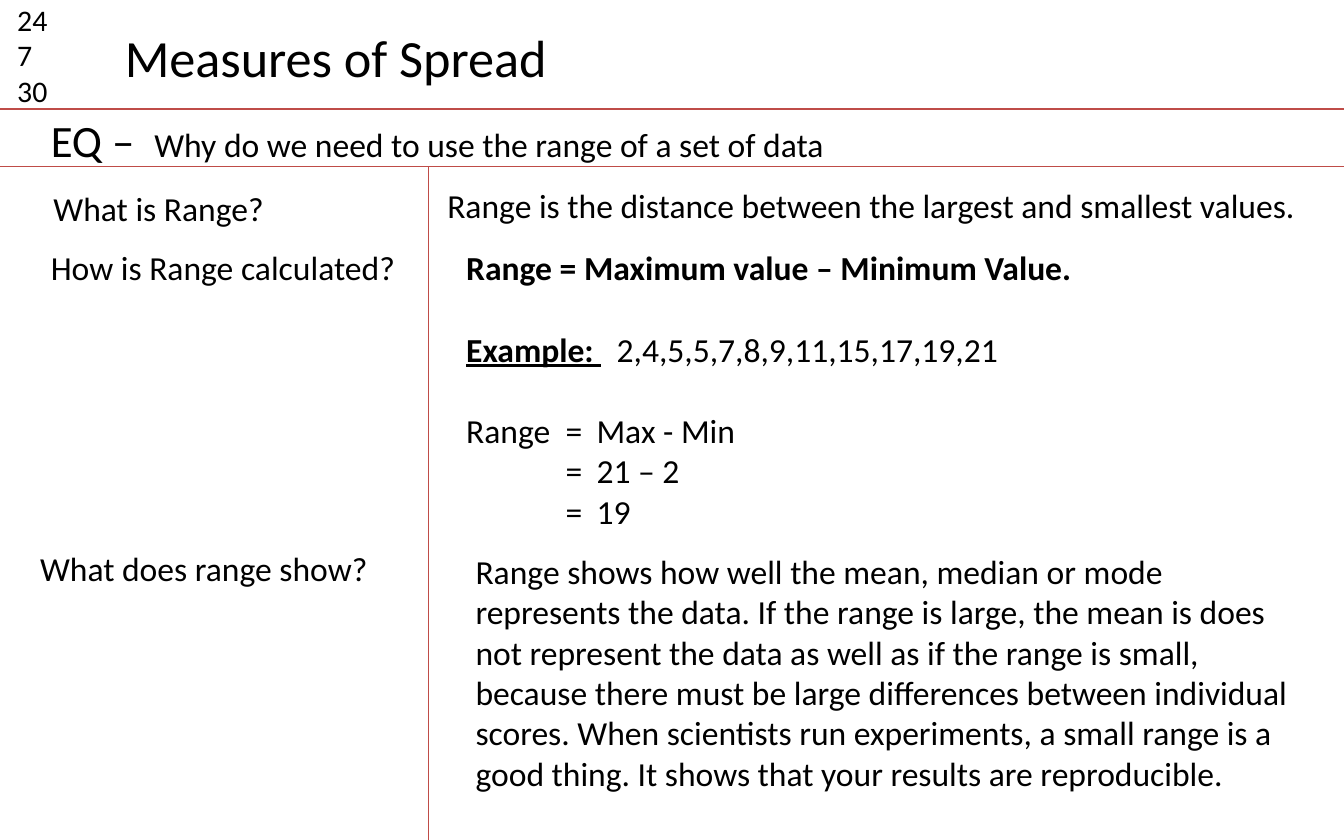
from lxml import etree
from pptx import Presentation
from pptx.dml.color import RGBColor
from pptx.enum.shapes import MSO_CONNECTOR
from pptx.enum.text import MSO_AUTO_SIZE
from pptx.oxml.ns import qn
from pptx.util import Emu, Pt

STRAIGHT = MSO_CONNECTOR.STRAIGHT
FIT_SHAPE = MSO_AUTO_SIZE.SHAPE_TO_FIT_TEXT
EMU_PER_PX = 9144  # 100 px to the inch
WIDTH, HEIGHT = 1000, 625


def px(length):
    return Emu(length * EMU_PER_PX)


def color(hex_string):
    return RGBColor.from_string(hex_string)


class NotesPage:
    font_name = "Calibri"
    ink = "000000"
    rule_color = "BF4C48"
    body_size = 18
    line_gap = 22  # one blank line of body text, in points

    def __init__(self, slide):
        self.slide = slide

    def rule(self, x1, y1, x2, y2):
        rule = self.slide.shapes.add_connector(
            STRAIGHT, px(x1), px(y1), px(x2), px(y2))
        rule.line.color.rgb = color(self.rule_color)
        rule.line.width = Pt(0.75)
        etree.SubElement(rule._element.spPr, qn("a:effectLst"))

    def box(self, left, top, width, height, wrap=True):
        box = self.slide.shapes.add_textbox(
            px(left), px(top), px(width), px(height))
        box.text_frame.word_wrap = wrap
        box.text_frame.auto_size = FIT_SHAPE
        return box.text_frame

    def style(self, paragraph, size, tabs=(), bold=None):
        """Set the tab stops first, then the font of the whole paragraph."""
        if tabs:
            tab_list = etree.SubElement(
                paragraph._p.get_or_add_pPr(), qn("a:tabLst"))
            for stop in tabs:
                etree.SubElement(
                    tab_list, qn("a:tab"), pos=str(px(stop)), algn="l")
        font = paragraph.font
        font.name = self.font_name
        font.size = Pt(size)
        font.bold = bold
        font.color.rgb = color(self.ink)

    def text(self, left, top, width, height, *lines, size=body_size, wrap=True):
        frame = self.box(left, top, width, height, wrap)
        frame.text = "\n".join(lines)
        for paragraph in frame.paragraphs:
            self.style(paragraph, size)

    def worked_example(self, left, top, width, height):
        frame = self.box(left, top, width, height)
        formula = frame.paragraphs[0]
        formula.text = "Range = Maximum value – Minimum Value."
        self.style(formula, self.body_size, bold=True)

        data = frame.add_paragraph()
        data.space_before = Pt(self.line_gap)
        self.style(data, self.body_size, tabs=[112])
        label = data.add_run()
        label.text = "Example: "
        label.font.bold = True
        label.font.underline = True
        data.add_run().text = "\t2,4,5,5,7,8,9,11,15,17,19,21"

        steps = [("Range", "Max - Min"), ("", "21 – 2"), ("", "19")]
        for name, value in steps:
            step = frame.add_paragraph()
            step.text = f"{name}\t=\t{value}"
            if name:
                step.space_before = Pt(self.line_gap)
            self.style(step, self.body_size, tabs=[74, 97])


def main():
    deck = Presentation()
    deck.slide_width, deck.slide_height = px(WIDTH), px(HEIGHT)
    page = NotesPage(deck.slides.add_slide(deck.slide_layouts[6]))

    page.rule(0, 81, WIDTH, 81)
    page.rule(0, 124, WIDTH, 124)
    page.rule(319, 124, 319, HEIGHT)

    page.text(3, -4, 63, 91, "24", "7", "30", size=16)
    page.text(83, 14, 338, 57, "Measures of Spread", size=28, wrap=False)
    page.text(28, 79, 943, 50, "EQ –", size=24)
    page.text(105, 87, 882, 40,
              "Why do we need to use the range of a set of data")

    page.text(30, 135, 236, 40, "What is Range?")
    page.text(323, 133, 664, 40,
              "Range is the distance between the largest and smallest values.")

    page.text(28, 179, 303, 40, "How is Range calculated?")
    page.worked_example(337, 179, 551, 222)

    page.text(20, 403, 303, 40, "What does range show?")
    page.text(344, 405, 627, 192,
              "Range shows how well the mean, median or mode represents the "
              "data. If the range is large, the mean is does not represent the "
              "data as well as if the range is small, because there must be "
              "large differences between individual scores. When scientists "
              "run experiments, a small range is a good thing. It shows that "
              "your results are reproducible.")

    deck.save("out.pptx")


if __name__ == "__main__":
    main()
